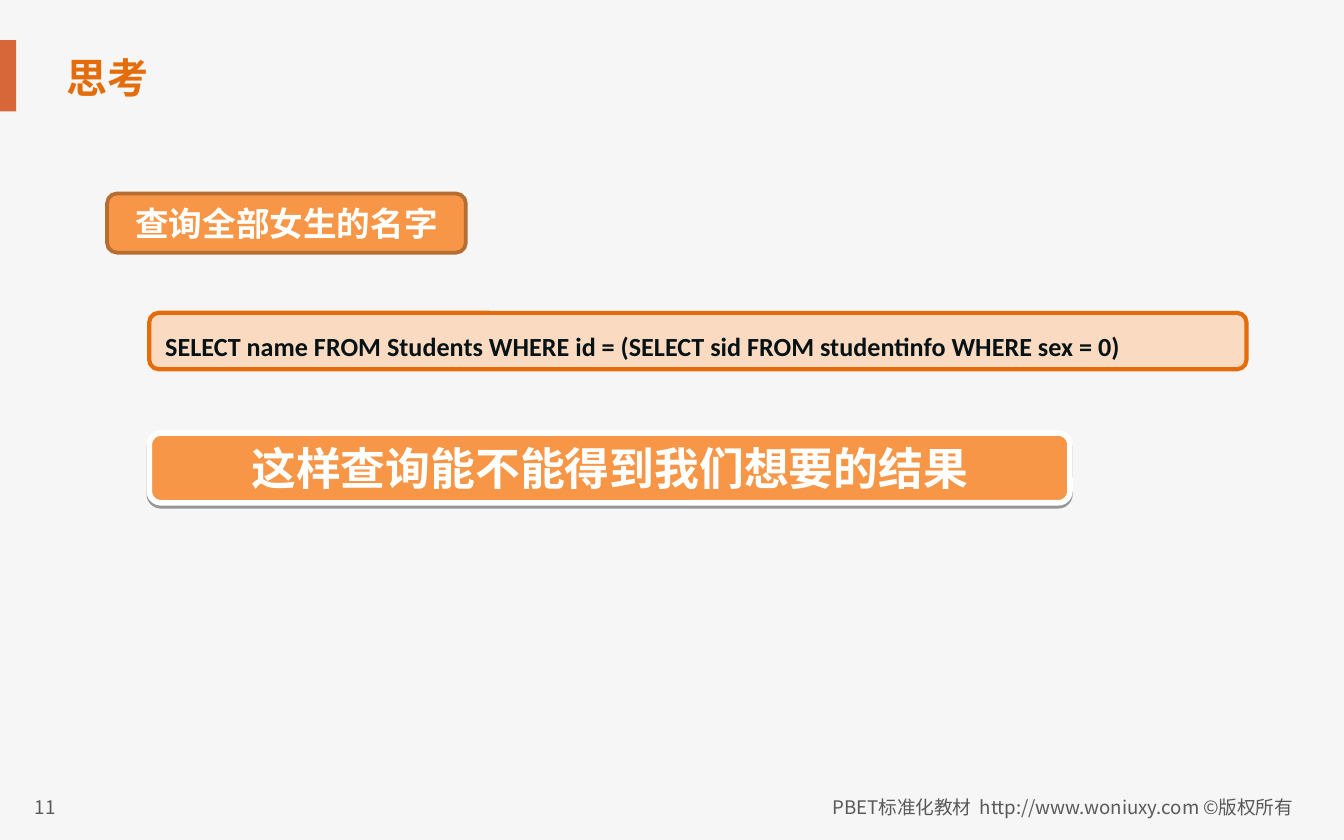
import pptx
import pptx.dml.color
import pptx.enum.shapes
import pptx.enum.text
import pptx.oxml
import pptx.oxml.ns
import pptx.util
from dataclasses import dataclass

Pt = pptx.util.Pt
ALIGN = pptx.enum.text.PP_ALIGN
ANCHOR = pptx.enum.text.MSO_ANCHOR
SHAPE = pptx.enum.shapes.MSO_SHAPE


@dataclass(frozen=True)
class Theme:
    background: str = "F6F6F6"
    accent_bar: str = "D76739"
    accent: str = "E46C0A"
    orange: str = "F79646"
    orange_edge: str = "B66D31"
    peach: str = "FCD5B5"
    white: str = "FFFFFF"
    code: str = "071215"
    muted: str = "595959"
    cjk_font: str = "Noto Sans CJK SC"
    label_font: str = "Arial"
    code_font: str = "Calibri"
    footer_size: float = 10
    code_size: float = 14
    label_size: float = 18
    title_size: float = 22
    question_size: float = 24


def rgb(color):
    return pptx.dml.color.RGBColor.from_string(color)


def element(tag, content="", **attributes):
    listed = " ".join(f'{name}="{value}"' for name, value in attributes.items())
    namespace = pptx.oxml.ns.nsdecls("a")
    return pptx.oxml.parse_xml(f"<a:{tag} {namespace} {listed}>{content}</a:{tag}>")


class SlideBuilder:
    def __init__(self, slide, theme):
        self.slide = slide
        self.theme = theme
        background = slide.background.fill
        background.solid()
        background.fore_color.rgb = rgb(theme.background)

    def set_text(self, shape, text, size, color, font, bold=False, wrap=True,
                 align=ALIGN.LEFT, anchor=ANCHOR.MIDDLE, line_spacing=None):
        frame = shape.text_frame
        paragraph = frame.paragraphs[0]
        run = paragraph.add_run()
        run.text = text
        formats = (
            (frame, {"word_wrap": wrap, "vertical_anchor": anchor}),
            (paragraph, {"alignment": align, "line_spacing": line_spacing}),
            (run.font, {"size": Pt(size), "bold": bold, "name": font}),
        )
        for target, values in formats:
            for name, value in values.items():
                setattr(target, name, value)
        run.font.color.rgb = rgb(color)
        latin = run.font._element.find(pptx.oxml.ns.qn("a:latin"))
        latin.addnext(element("ea", typeface=self.theme.cjk_font))

    def text(self, box, text, **style):
        shape = self.slide.shapes.add_textbox(*map(Pt, box))
        self.set_text(shape, text, font=self.theme.cjk_font, **style)

    def bar(self, box, fill):
        return self.block(SHAPE.RECTANGLE, box, fill)

    def block(self, kind, box, fill):
        shape = self.slide.shapes.add_shape(kind, *map(Pt, box))
        shape.shadow.inherit = False
        shape.fill.solid()
        shape.fill.fore_color.rgb = rgb(fill)
        shape.line.fill.background()
        return shape

    def panel(self, box, fill, edge, edge_width, text, opacity=100, shadow=False, **style):
        shape = self.block(SHAPE.ROUNDED_RECTANGLE, box, fill)
        shape.adjustments[0] = 0.167
        shape.line.color.rgb = rgb(edge)
        shape.line.width = Pt(edge_width)
        properties = shape._element.spPr
        if opacity < 100:
            color = properties.find(pptx.oxml.ns.qn("a:solidFill"))[0]
            color.append(element("alpha", val=opacity * 1000))
        if shadow:
            effects = properties.find(pptx.oxml.ns.qn("a:effectLst"))
            effects.append(element(
                "outerShdw", '<a:srgbClr val="000000"><a:alpha val="38000"/></a:srgbClr>',
                blurRad=0, dist=Pt(1.6), dir=90 * 60000, rotWithShape=0))
        self.set_text(shape, text, bold=True, **style)


def main():
    theme = Theme()
    presentation = pptx.Presentation()
    presentation.slide_width = Pt(720)
    presentation.slide_height = Pt(450)
    slide = presentation.slides.add_slide(presentation.slide_layouts[6])
    builder = SlideBuilder(slide, theme)

    builder.bar((0, 21.5, 8.7, 38.2), theme.accent_bar)
    footer = {"size": theme.footer_size, "color": theme.muted, "anchor": ANCHOR.TOP}
    builder.text((359.3, 422.6, 340.5, 19.4),
                 "PBET标准化教材  http://www.woniuxy.com ©版权所有", align=ALIGN.RIGHT, **footer)
    builder.text((11.5, 422.6, 62, 21.6), "11", wrap=False, **footer)
    builder.text((28.8, 23.8, 505.4, 34.6), "思考",
                 size=theme.title_size, color=theme.accent, bold=True)

    label = {"color": theme.white, "font": theme.label_font,
             "align": ALIGN.CENTER, "wrap": False}
    builder.panel((57.4, 103.7, 192.2, 31.7), theme.orange, theme.orange_edge, 2,
                  "查询全部女生的名字", size=theme.label_size, **label)
    builder.panel((80, 167.6, 587.8, 30.2), theme.peach, theme.accent, 2.25,
                  "SELECT name FROM Students WHERE id = (SELECT sid FROM studentinfo WHERE sex = 0)",
                  opacity=80, size=theme.code_size, color=theme.code,
                  font=theme.code_font, line_spacing=1.3)
    builder.panel((80, 232, 493.2, 37.4), theme.orange, theme.white, 3,
                  "这样查询能不能得到我们想要的结果", shadow=True,
                  size=theme.question_size, **label)
    presentation.save("out.pptx")


if __name__ == "__main__":
    main()
